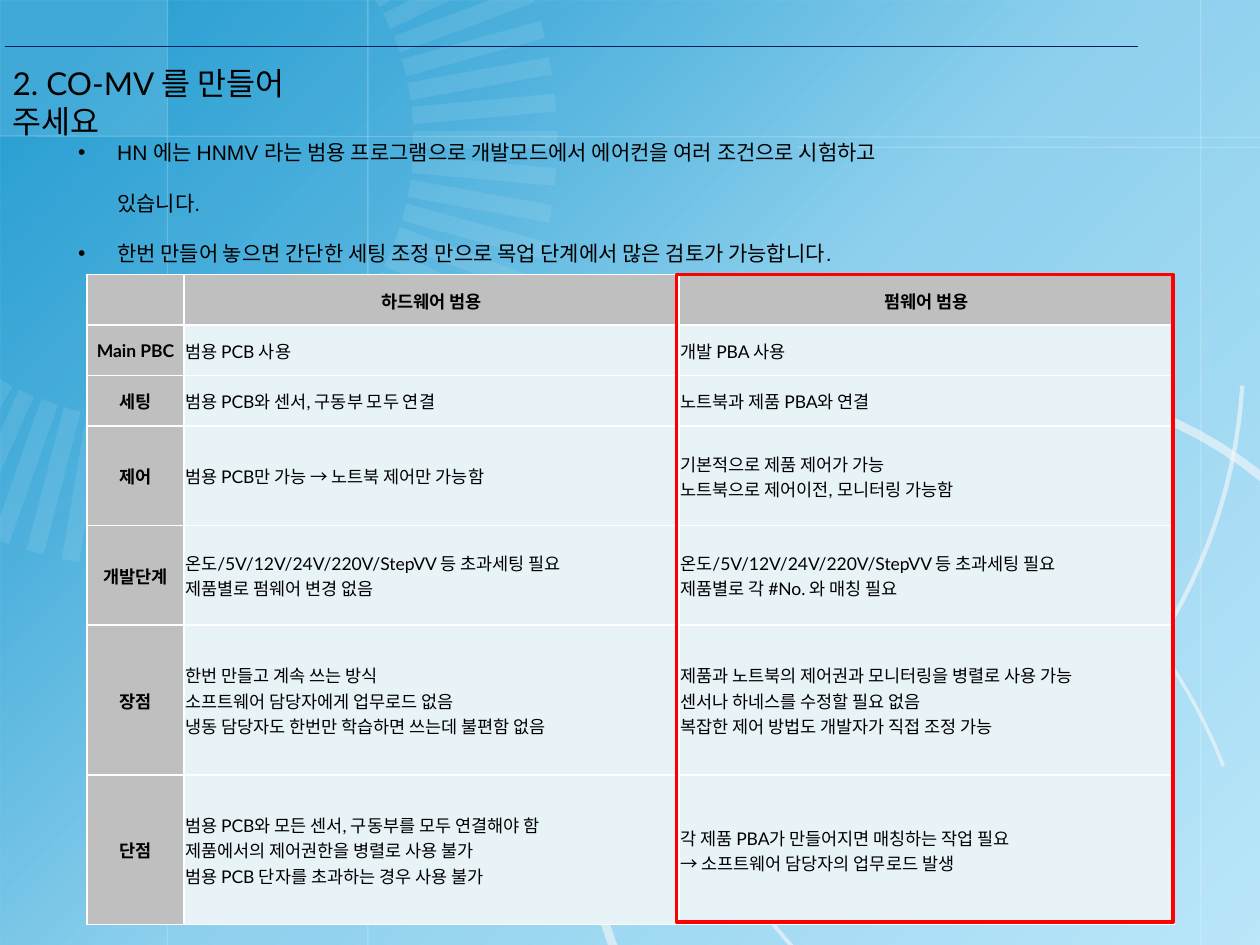
from dataclasses import dataclass
from math import cos, radians, sin

from lxml.etree import SubElement
from pptx import Presentation
from pptx.dml.color import RGBColor
from pptx.enum.shapes import MSO_CONNECTOR as Connector, MSO_SHAPE as Preset
from pptx.enum.text import MSO_ANCHOR as Anchor, MSO_AUTO_SIZE as AutoSize, PP_ALIGN as Align
from pptx.oxml.ns import qn
from pptx.util import Inches, Pt

BLUE, NAVY, WHITE, TICK, ARC = "0F92CC", "002060", "FFFFFF", "F2FAFE", "F8F8F8"
BLACK, RED, HEADER, BODY = "000000", "FF0000", "BFBFBF", "E8F3F8"


@dataclass(frozen=True)
class Rule:
    start: tuple
    end: tuple
    color: str = WHITE
    opacity: int = 20


@dataclass(frozen=True)
class Arc:
    points: list
    width: float


RULES = [
    Rule((1.33, 0), (1.33, 7.5)),
    Rule((9.53, 0), (9.53, 7.5)),
    Rule((2.92, 0), (2.92, 7.5)),
    Rule((0, 1.08), (10, 1.09)),
    Rule((6.33, 1.17), (10, 1.17)),
    Rule((0.04, 0.37), (9.03, 0.37), NAVY, 100),
]
ARCS = [
    Arc([(5.03, 7.87), (4.2, 6.3), (4.77, 4.36), (6.31, 3.48),
         (7.84, 2.6), (9.8, 3.1), (10.74, 4.61)], 5),
    Arc([(5.11, 3.94), (5.85, 3.48), (6.8, 3.46), (7.7, 3.88),
         (8.59, 4.29), (9.33, 5.1), (9.71, 6.08)], 2),
    Arc([(6.94, 2.91), (6.16, 3.4), (5.64, 4.22), (5.53, 5.13),
         (5.41, 6.04), (5.73, 6.96), (6.38, 7.61)], 2.25),
    Arc([(4.38, 6.89), (5.63, 7.26), (6.98, 7.04), (8.04, 6.3),
         (9.11, 5.55), (9.78, 4.36), (9.86, 3.06)], 2.5),
]
EDGE_TICKS = [
    [(2.98, 0), (3.1, 0), (3.01, 0.06)],
    [(3.26, 0), (3.58, 0), (3.1, 0.23), (3.04, 0.11)],
    [(0.15, 3.09), (0.27, 3.15), (0, 3.75), (0, 3.43)],
    [(0, 3.01), (0.1, 3.07), (0, 3.24)],
]
BULLETS = [
    "HN 에는 HNMV 라는 범용 프로그램으로 개발모드에서 에어컨을 여러 조건으로 시험하고 있습니다.",
    "한번 만들어 놓으면 간단한 세팅 조정 만으로 목업 단계에서 많은 검토가 가능합니다.",
]
COLUMN_WIDTHS = [0.77, 3.93, 3.93]
ROW_HEIGHTS = [0.4, 0.4, 0.4, 0.79, 0.79, 1.19, 1.19]
ROWS = [
    ("", "하드웨어 범용", "펌웨어 범용"),
    ("Main PBC", "범용 PCB 사용", "개발 PBA 사용"),
    ("세팅", "범용 PCB와 센서, 구동부 모두 연결", "노트북과 제품 PBA와 연결"),
    ("제어", "범용 PCB만 가능 → 노트북 제어만 가능함",
     "기본적으로 제품 제어가 가능\v노트북으로 제어이전, 모니터링 가능함"),
    ("개발단계", "온도/5V/12V/24V/220V/StepVV 등 초과세팅 필요\v제품별로 펌웨어 변경 없음",
     "온도/5V/12V/24V/220V/StepVV 등 초과세팅 필요\v제품별로 각 #No. 와 매칭 필요"),
    ("장점", "한번 만들고 계속 쓰는 방식\v소프트웨어 담당자에게 업무로드 없음\v"
     "냉동 담당자도 한번만 학습하면 쓰는데 불편함 없음",
     "제품과 노트북의 제어권과 모니터링을 병렬로 사용 가능\v센서나 하네스를 수정할 필요 없음\v"
     "복잡한 제어 방법도 개발자가 직접 조정 가능"),
    ("단점", "범용 PCB와 모든 센서, 구동부를 모두 연결해야 함\v제품에서의 제어권한을 병렬로 사용 불가\v"
     "범용 PCB 단자를 초과하는 경우 사용 불가",
     "각 제품 PBA가 만들어지면 매칭하는 작업 필요\v→ 소프트웨어 담당자의 업무로드 발생"),
]


def apply(target, values: dict) -> None:
    for name, value in values.items():
        setattr(target, name, value)


def paint(fill, color: str, opacity: int = 100) -> None:
    fill.solid()
    fill.fore_color.rgb = RGBColor.from_string(color)
    if opacity < 100:
        srgb = next(fill._xPr.iter(qn("a:srgbClr")))
        SubElement(srgb, qn("a:alpha"), val=str(opacity * 1000))


def add_box(slide, left: float, top: float, width: float, height: float):
    box = slide.shapes.add_shape(Preset.RECTANGLE, *map(Inches, (left, top, width, height)))
    box.shadow.inherit = False
    box.line.fill.background()
    return box


def add_path(slide, points: list, closed: bool):
    places = [(Inches(x), Inches(y)) for x, y in points]
    builder = slide.shapes.build_freeform(*places[0])
    builder.add_line_segments(places[1:], close=closed)
    shape = builder.convert_to_shape()
    shape.shadow.inherit = False
    return shape


def add_tick(slide, points: list) -> None:
    tick = add_path(slide, points, True)
    paint(tick.fill, TICK, 10)
    tick.line.fill.background()


def radial_tick(degrees: int) -> list:
    """Corners of one bar of the dial, pointing away from its centre."""
    x, y = cos(radians(degrees)), sin(radians(degrees))
    corners = [(2.15, -0.07), (3.29, -0.07), (3.29, 0.07), (2.15, 0.07)]
    return [(1.13 + r * x - side * y, 1.11 + 1.03 * r * y + side * x) for r, side in corners]


def curve(points: list, steps: int = 24) -> list:
    places = [points[0]]
    for start in range(0, len(points) - 1, 3):
        controls = points[start:start + 4]
        for step in range(1, steps + 1):
            t = step / steps
            weights = ((1 - t) ** 3, 3 * t * (1 - t) ** 2, 3 * t * t * (1 - t), t ** 3)
            places.append(tuple(sum(w * p[axis] for w, p in zip(weights, controls))
                                for axis in (0, 1)))
    return places


def add_rule(slide, rule: Rule) -> None:
    line = slide.shapes.add_connector(Connector.STRAIGHT, *map(Inches, rule.start + rule.end))
    line.line.width = Pt(0.75)
    paint(line.line.fill, rule.color, rule.opacity)
    SubElement(line.element.spPr, qn("a:effectLst"))


def add_arc(slide, arc: Arc) -> None:
    shape = add_path(slide, curve(arc.points), False)
    shape.fill.background()
    shape.line.width = Pt(arc.width)
    paint(shape.line.fill, ARC, 60)


def draw_backdrop(slide) -> None:
    paint(slide.background.fill, "BCE7FA")
    wash = add_box(slide, 0, 0, 10, 7.5)
    wash.fill.gradient()
    gradient = wash.element.spPr.find(qn("a:gradFill"))
    stops = gradient.find(qn("a:gsLst"))
    for stop in list(stops):
        stops.remove(stop)
    for position, opacity in ((6, 83), (26, 63), (50, 27), (100, 0)):
        stop = SubElement(stops, qn("a:gs"), pos=str(position * 1000))
        color = SubElement(stop, qn("a:srgbClr"), val=BLUE)
        SubElement(color, qn("a:alpha"), val=str(opacity * 1000))
    gradient.find(qn("a:lin")).set("ang", "2700000")
    paint(add_box(slide, 0, 0, 1.33, 1.08).fill, WHITE, 10)
    for points in EDGE_TICKS + [radial_tick(degrees) for degrees in range(-20, 111, 5)]:
        add_tick(slide, points)
    for rule in RULES:
        add_rule(slide, rule)
    for arc in ARCS:
        add_arc(slide, arc)


def format_runs(paragraph, font: str, size: float, bold: bool = False) -> None:
    for run in paragraph.runs:
        apply(run.font, {"name": font, "size": Pt(size), "bold": bold})
        paint(run.font.fill, BLACK)


def fill_placeholder(holder, place: tuple, lines: list, font: str, size: float, spacing: float) -> None:
    holder.element.getparent().append(holder.element)
    apply(holder, dict(zip(("left", "top", "width", "height"), map(Inches, place))))
    frame = holder.text_frame
    frame.text = "\n".join(lines)
    apply(frame, {"word_wrap": True, "auto_size": AutoSize.NONE, "vertical_anchor": Anchor.TOP})
    for paragraph in frame.paragraphs:
        apply(paragraph, {"alignment": Align.LEFT, "line_spacing": spacing,
                          "space_before": Pt(0), "space_after": Pt(0)})
        format_runs(paragraph, font, size)


def add_bullet(paragraph) -> None:
    properties = paragraph._p.get_or_add_pPr()
    properties.set("marL", str(Inches(0.31)))
    properties.set("indent", str(-Inches(0.31)))
    SubElement(properties, qn("a:buFont"), typeface="Arial")
    SubElement(properties, qn("a:buChar"), char="•")


def format_cell(cell, text: str, heading: bool) -> None:
    apply(cell, {"text": text, "vertical_anchor": Anchor.MIDDLE, "margin_left": Inches(0.01),
                 "margin_right": Inches(0.01), "margin_top": Inches(0.01), "margin_bottom": 0})
    properties = cell._tc.get_or_add_tcPr()
    for side in ("lnL", "lnR", "lnT", "lnB"):
        border = SubElement(properties, qn(f"a:{side}"), w=str(Pt(1)))
        SubElement(SubElement(border, qn("a:solidFill")), qn("a:srgbClr"), val=WHITE)
    paint(cell.fill, HEADER if heading else BODY)
    paragraph = cell.text_frame.paragraphs[0]
    paragraph.alignment = Align.CENTER if heading else Align.LEFT
    format_runs(paragraph, "Lato", 10, heading)


def add_comparison(slide) -> None:
    table = slide.shapes.add_table(len(ROWS), len(COLUMN_WIDTHS),
                                   *map(Inches, (0.69, 2.18, 8.62, 5.14))).table
    for column, width in zip(table.columns, COLUMN_WIDTHS):
        column.width = Inches(width)
    for r, (row, height, texts) in enumerate(zip(table.rows, ROW_HEIGHTS, ROWS)):
        row.height = Inches(height)
        for c, text in enumerate(texts):
            format_cell(table.cell(r, c), text, r == 0 or c == 0)
    highlight = add_box(slide, 5.37, 2.18, 3.94, 5.14)
    highlight.fill.background()
    highlight.line.width = Pt(2)
    paint(highlight.line.fill, RED)


def main() -> None:
    presentation = Presentation()
    apply(presentation, {"slide_width": Inches(10), "slide_height": Inches(7.5)})
    slide = presentation.slides.add_slide(presentation.slide_layouts[1])
    draw_backdrop(slide)
    title, body = slide.shapes.title, slide.placeholders[1]
    fill_placeholder(title, (0, 0.46, 3.1, 0.4), ["2. CO-MV 를 만들어 주세요"], "Lato", 18, 1)
    fill_placeholder(body, (0.52, 0.86, 6.74, 0.85), BULLETS, "Arial", 12, 2)
    for paragraph in body.text_frame.paragraphs:
        add_bullet(paragraph)
    add_comparison(slide)
    presentation.save("out.pptx")


if __name__ == "__main__":
    main()
